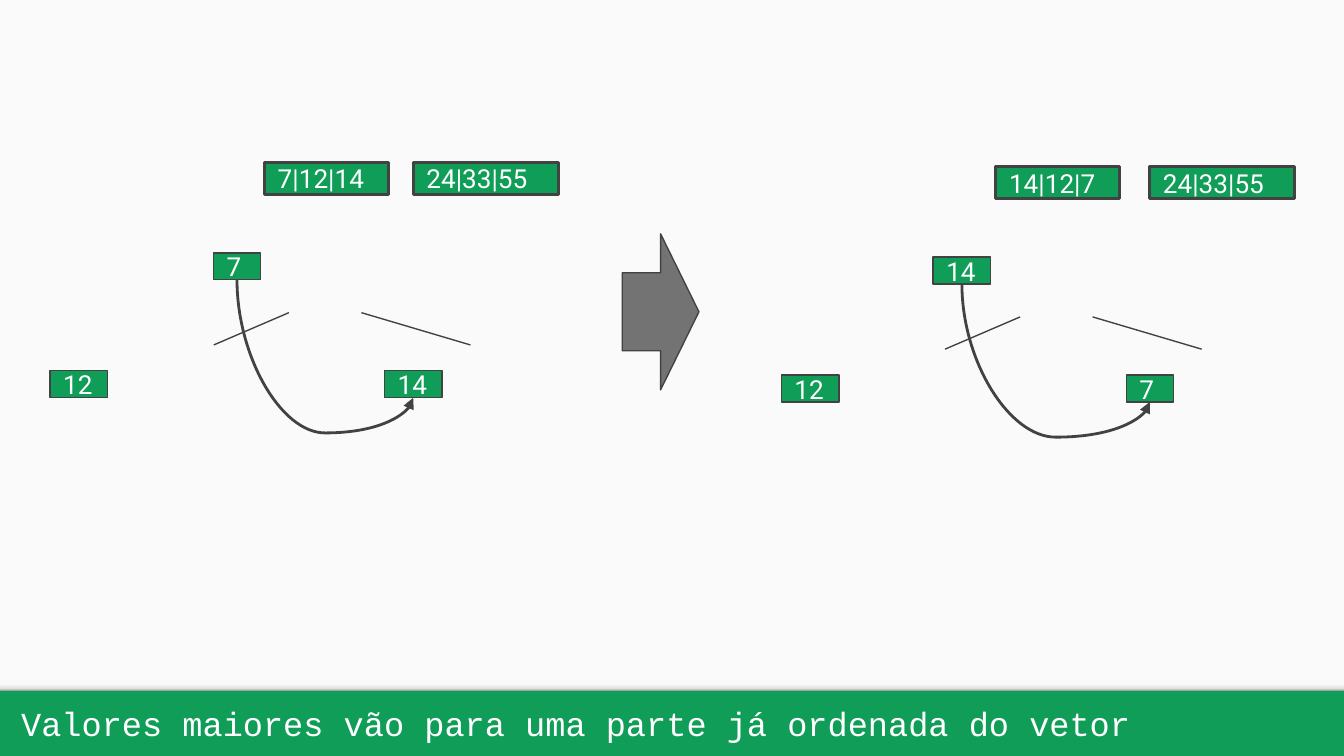
from copy import deepcopy
from lxml import etree
from pptx import Presentation
from pptx import util as u
from pptx.dml.color import RGBColor
from pptx.enum import shapes, text
from pptx.oxml import ns

GREEN = RGBColor(0x0F, 0x9D, 0x58)
PAPER = RGBColor(0xFA, 0xFA, 0xFA)
GREY = RGBColor(0x73, 0x73, 0x73)
DARK = RGBColor(0x42, 0x42, 0x42)
WHITE = RGBColor(0xFF, 0xFF, 0xFF)
SHADE = [(0, RGBColor(0xF9, 0xF9, 0xF9)), (0.36, RGBColor(0xF9, 0xF9, 0xF9)),
         (0.8, RGBColor(0xDE, 0xDE, 0xDE)), (1, RGBColor(0x99, 0x99, 0x99))]
WIDE, HIGH, PANEL = 25.4, 14.29, 13.06
CELL = 0.51


def shape(slide, kind, box, fill=None, line=None):
    item = slide.shapes.add_shape(kind, *map(u.Cm, box))
    item.shadow.inherit = False
    if fill is not None:
        item.fill.solid()
        item.fill.fore_color.rgb = fill
    if line:
        item.line.color.rgb = DARK
        item.line.width = u.Pt(line)
    else:
        item.line.fill.background()
    return item


def write(item, words, font, size):
    frame = item.text_frame
    frame.word_wrap = True
    frame.auto_size = text.MSO_AUTO_SIZE.NONE
    frame.vertical_anchor = text.MSO_ANCHOR.MIDDLE
    frame.margin_left = frame.margin_right = u.Cm(0.25)
    frame.margin_top = frame.margin_bottom = u.Cm(0.25)
    para = frame.paragraphs[0]
    para.alignment = text.PP_ALIGN.LEFT
    run = para.add_run()
    run.text = words
    run.font.name = font
    run.font.size = u.Pt(size)
    run.font.color.rgb = WHITE


def label(slide, words, box, line):
    item = shape(slide, shapes.MSO_SHAPE.RECTANGLE, box, GREEN, line)
    write(item, words, "Roboto", 14)


def node(slide, words, mid, top):
    width = 0.69 + 0.2 * len(words)
    label(slide, words, (mid - width / 2, top, width, CELL), 0.75)


def link(slide, kind, ends, width):
    line = slide.shapes.add_connector(kind, *map(u.Cm, ends))
    line.line.color.rgb = DARK
    line.line.width = u.Pt(width)
    etree.SubElement(line._element.spPr, ns.qn("a:effectLst"))
    return line


def swap(slide, x1, y1, x2, y2):
    mid_x, mid_y = (x1 + x2) / 2, (y1 + y2) / 2
    half_x, half_y = (y2 - y1) / 2, (x2 - x1) / 2
    ends = mid_x + half_x, mid_y - half_y, mid_x - half_x, mid_y + half_y
    curve = link(slide, shapes.MSO_CONNECTOR.CURVE, ends, 1.5)
    props = curve._element.spPr
    props.find(ns.qn("a:xfrm")).set("rot", "16200000")
    guides = props.find(ns.qn("a:prstGeom")).find(ns.qn("a:avLst"))
    etree.SubElement(guides, ns.qn("a:gd"), name="adj1", fmla="val 129800")
    tip = etree.SubElement(props.find(ns.qn("a:ln")), ns.qn("a:tailEnd"))
    tip.set("type", "triangle")


def heap(slide, x, y, root, leaf, root_x, leaf_x, heap_text):
    for ends in [(4.52, 2.84, 3.1, 3.45), (5.89, 2.84, 7.95, 3.45)]:
        x1, y1, x2, y2 = ends
        link(slide, shapes.MSO_CONNECTOR.STRAIGHT,
             (x + x1, y + y1, x + x2, y + y2), 0.75)
    root_y, leaf_y = y + 1.71, y + 3.94
    node(slide, root, x + root_x, root_y)
    node(slide, "12", x + 0.55, leaf_y)
    node(slide, leaf, x + leaf_x, leaf_y)
    label(slide, heap_text, (x + 4.06, y, 2.34, 0.61), 1.5)
    swap(slide, x + root_x, root_y + CELL, x + leaf_x, leaf_y + CELL)
    label(slide, "24|33|55", (x + leaf_x, y, 2.74, 0.61), 1.5)


def stage(slide, x, y, width, height):
    rect = shapes.MSO_SHAPE.RECTANGLE
    shape(slide, rect, (x, y, width, height), PAPER)
    band = shape(slide, rect, (x, y + height - 0.2, width, 0.2))
    band.fill.gradient()
    band.fill.gradient_angle = 270
    stops = band._element.spPr.find(ns.qn("a:gradFill")).find(ns.qn("a:gsLst"))
    for _ in SHADE[2:]:
        stops.append(deepcopy(stops[0]))
    for stop, (place, tone) in zip(band.fill.gradient_stops, SHADE):
        stop.position = place
        stop.color.rgb = tone


def caption(slide, x, y, width, height):
    title = slide.shapes.title
    title.left, title.top = u.Cm(x), u.Cm(y)
    title.width, title.height = u.Cm(width), u.Cm(height)
    write(title, "Valores maiores vão para uma parte já ordenada do vetor",
          "Courier New", 18)


def main():
    deck = Presentation()
    deck.slide_width, deck.slide_height = u.Cm(WIDE), u.Cm(HIGH)
    slide = deck.slides.add_slide(deck.slide_layouts[5])
    slide.background.fill.solid()
    slide.background.fill.fore_color.rgb = GREEN
    stage(slide, 0, 0, WIDE, PANEL)
    caption(slide, 0.15, PANEL, 23.29, HIGH - PANEL)
    shape(slide, shapes.MSO_SHAPE.RIGHT_ARROW, (11.76, 4.42, 1.45, 2.95),
          GREY, 0.75)
    heap(slide, 0.94, 3.07, "7", "14", 3.54, 6.87, "7|12|14")
    heap(slide, 14.76, 3.15, "14", "7", 3.42, 6.97, "14|12|7")
    deck.save("out.pptx")


if __name__ == "__main__":
    main()
